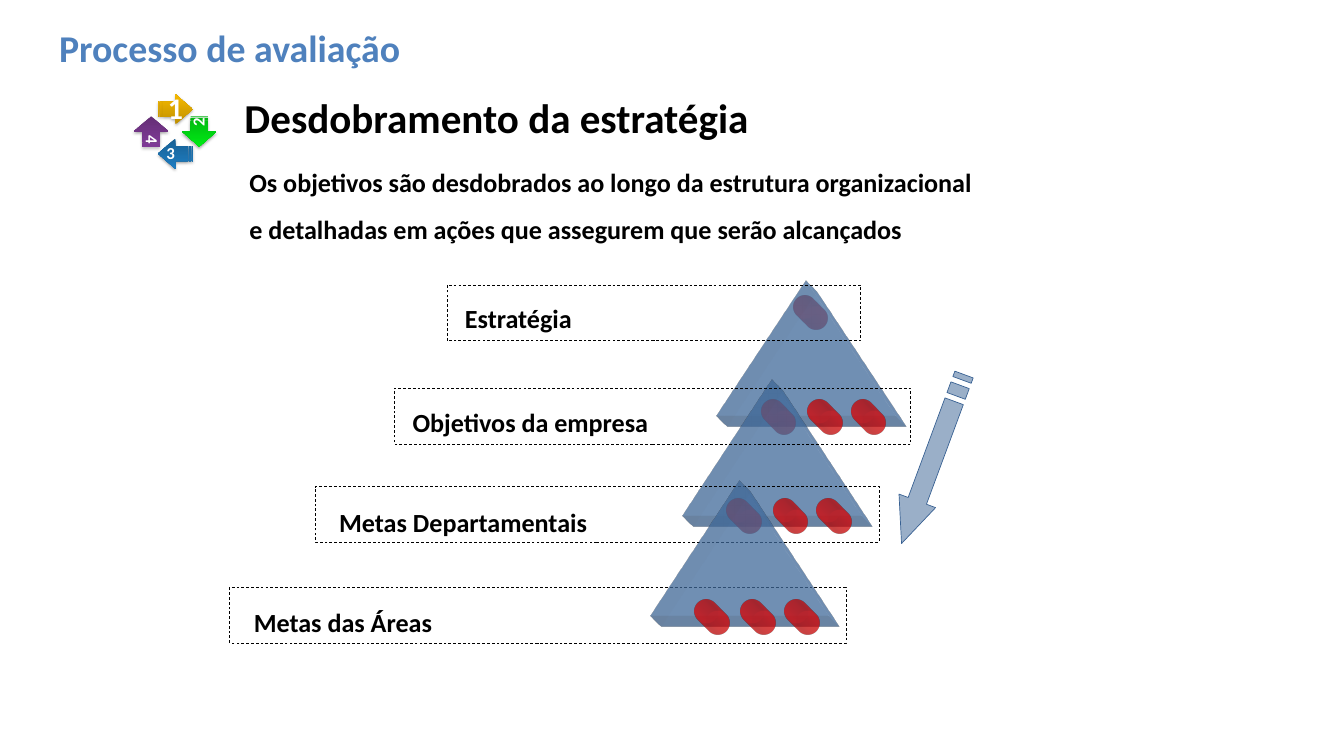
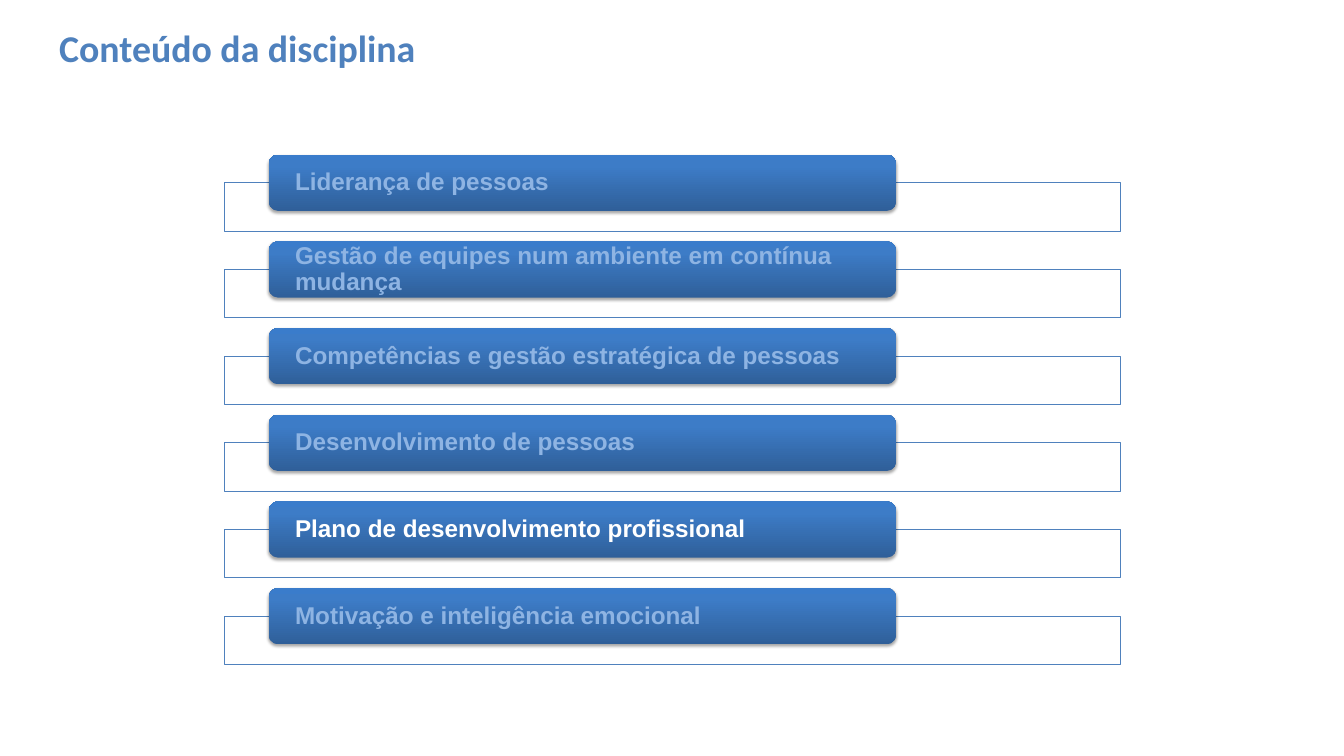
from dataclasses import dataclass
from math import cos, radians, sin
from typing import Optional

from lxml import etree
from pptx import Presentation
from pptx.dml.color import RGBColor
from pptx.enum import dml, shapes, text
from pptx.oxml.ns import qn
from pptx.util import Pt


@dataclass(frozen=True)
class Theme:
    accent: str = "4F81BD"
    dark_accent: str = "376092"
    muted: str = "8EB4E3"
    white: str = "FFFFFF"
    black: str = "000000"
    red: str = "FF0000"
    bar_stops: tuple = ((0, "2F5F99"), (80, "3D7CC7"), (100, "3A7CCB"))
    heading_font: str = "Calibri"
    list_font: str = "Arial"
    title_size: float = 40.5
    subtitle_size: float = 44
    body_size: float = 28
    list_size: float = 26


@dataclass(frozen=True)
class Box:
    left: float
    top: float
    width: float
    height: float

    def emu(self) -> tuple:
        return Pt(self.left), Pt(self.top), Pt(self.width), Pt(self.height)


@dataclass(frozen=True)
class Level:
    label: str
    frame: Box
    label_top: float
    inset: float = 10.8


@dataclass(frozen=True)
class Peak:
    left: float
    top: float


@dataclass(frozen=True)
class CycleStep:
    number: str
    x: float
    y: float
    angle: int
    size: float
    stops: tuple
    gradient_angle: int = 270
    vert: Optional[str] = None
    insets: tuple = (0, 0, 0, 0)


THEME = Theme()
MIDDLE = text.MSO_ANCHOR.MIDDLE
DOT_SIZE = 25.2
PEAK_WIDTH, PEAK_HEIGHT = 191.5, 144.7
DOT_OFFSETS = (47.6, 97.2, 144.2)
DOT_DROP = 127.4

LEVELS = (
    Level("Estratégia", Box(478.8, 305.3, 443.5, 59.8), 291.6),
    Level("Objetivos da empresa", Box(422.6, 416.2, 553, 59.8), 402.5),
    Level("Metas Departamentais", Box(337.7, 521.3, 604.1, 59.8), 509.8, 17.1),
    Level("Metas das Áreas", Box(246.2, 629.3, 660.2, 59.8), 617, 17.1),
)
PEAKS = (Peak(779.8, 312.5), Peak(743, 419), Peak(708.5, 527))
CYCLE = (
    CycleStep("1", 187.9, 117.1, 0, 32, ((0, "BE8F00"), (100, "F7BA00")), 90),
    CycleStep("2", 213.5, 140.8, 90, 18, ((0, "00B50F"), (100, "00EB15")),
              vert="vert270", insets=(0, 0, 0, 19)),
    CycleStep("3", 187.9, 164.6, 180, 18, ((0, "186094"), (100, "1E7DC1")),
              insets=(0, 0, 10, 0)),
    CycleStep("4", 162, 140.8, 270, 18, ((0, "642E75"), (100, "813B99")),
              vert="vert", insets=(0, 18, 0, 0)),
)
TOPICS = (
    "Liderança de pessoas",
    "Gestão de equipes num ambiente em contínua mudança",
    "Competências e gestão estratégica de pessoas",
    "Desenvolvimento de pessoas",
    "Plano de desenvolvimento profissional",
    "Motivação e inteligência emocional",
)
CURRENT_TOPIC = 4
TOPIC_PITCH = 92.88


def rgb(color: str) -> RGBColor:
    return RGBColor.from_string(color)


def add_xml(parent, tag: str, **attributes):
    return etree.SubElement(parent, qn(tag), attributes)


def write(s, content: str, *, size: float, color: str = THEME.black,
          font: str = THEME.heading_font, spacing: float = 1.0,
          insets: tuple = (7.2, 3.6, 7.2, 3.6), anchor=MIDDLE,
          align=text.PP_ALIGN.LEFT, wrap: bool = True) -> None:
    tf = s.text_frame
    tf.word_wrap = wrap
    tf.vertical_anchor = anchor
    (tf.margin_left, tf.margin_top,
     tf.margin_right, tf.margin_bottom) = map(Pt, insets)
    p = tf.paragraphs[0]
    p.text = content
    p.alignment = align
    p.line_spacing = spacing
    for r in p.runs:
        r.font.name, r.font.size, r.font.bold = font, Pt(size), True
        r.font.color.rgb = rgb(color)


def add_text(slide, box: Box, content: str, **fmt) -> None:
    write(slide.shapes.add_textbox(*box.emu()), content, **fmt)


def paint(s, fill: Optional[str] = None, opacity: Optional[int] = None,
          line: Optional[str] = None) -> None:
    s.shadow.inherit = False
    if fill:
        s.fill.solid()
        s.fill.fore_color.rgb = rgb(fill)
        if opacity is not None:
            color = s.element.spPr.find(".//" + qn("a:srgbClr"))
            add_xml(color, "a:alpha", val=str(opacity * 1000))
    else:
        s.fill.background()
    if line:
        s.line.color.rgb = rgb(line)
        s.line.width = Pt(0.75)
    else:
        s.line.fill.background()


def paint_raised(s, stops: tuple, angle: int) -> None:
    """Gradient fill, no line and a soft shadow below."""
    paint(s)
    s.fill.gradient()
    s.fill.gradient_angle = angle
    stop_list = s.element.spPr.find(".//" + qn("a:gsLst"))
    for stop in list(stop_list):
        stop_list.remove(stop)
    for position, color in stops:
        stop = add_xml(stop_list, "a:gs", pos=str(position * 1000))
        add_xml(stop, "a:srgbClr", val=color)
    shadow = add_xml(s.element.spPr.find(qn("a:effectLst")), "a:outerShdw",
                     blurRad=str(Pt(3.1)), dist=str(Pt(1.8)), dir="5400000",
                     rotWithShape="0")
    add_xml(add_xml(shadow, "a:srgbClr", val=THEME.black), "a:alpha", val="35000")


def extrude(s, color: str) -> None:
    """Give the shape depth towards the top left."""
    spPr = s.element.spPr
    scene = add_xml(spPr, "a:scene3d")
    add_xml(scene, "a:camera", prst="legacyObliqueTopLeft")
    add_xml(scene, "a:lightRig", rig="legacyFlat3", dir="b")
    solid = add_xml(spPr, "a:sp3d", extrusionH=str(Pt(33.87)),
                    prstMaterial="legacyMatte")
    for bevel in ("a:bevelT", "a:bevelB"):
        add_xml(solid, bevel, w="13500", h="13500", prst="angle")
    add_xml(add_xml(solid, "a:extrusionClr"), "a:srgbClr", val=color)


def add_solid(slide, kind, box: Box, color: str) -> None:
    s = slide.shapes.add_shape(kind, *box.emu())
    paint(s, color, 50)
    extrude(s, color)


def add_dot(slide, left: float, top: float) -> None:
    add_solid(slide, shapes.MSO_SHAPE.OVAL,
              Box(left, top, DOT_SIZE, DOT_SIZE), THEME.red)


def add_peak(slide, peak: Peak, dots: bool = True) -> None:
    add_solid(slide, shapes.MSO_SHAPE.ISOSCELES_TRIANGLE,
              Box(peak.left, peak.top, PEAK_WIDTH, PEAK_HEIGHT), THEME.accent)
    for offset in DOT_OFFSETS:
        add_dot(slide, peak.left + offset, peak.top + DOT_DROP)


def add_level(slide, level: Level) -> None:
    s = slide.shapes.add_shape(shapes.MSO_SHAPE.RECTANGLE, *level.frame.emu())
    paint(s, line=THEME.black)
    s.line.dash_style = dml.MSO_LINE.DASH
    add_text(slide, Box(level.frame.left + 8.6, level.label_top, 400, 71.3),
             level.label, size=THEME.body_size, spacing=1.8,
             insets=(level.inset, 5.8, 10.8, 5.8), anchor=text.MSO_ANCHOR.TOP)


def add_striped_arrow(slide, x: float, y: float, length: float, breadth: float,
                      head: float, stripe: float, angle: float = 0):
    """Arrow centred on (x, y) whose tail is cut into two stripes."""
    tail, tip, half = -length / 2, length / 2, breadth / 4
    neck = tip - head

    def stripe_outline(start: float, end: float) -> list:
        return [(tail + start, -half), (tail + end, -half),
                (tail + end, half), (tail + start, half)]

    body = tail + 5 * stripe
    outlines = [
        stripe_outline(0, stripe),
        stripe_outline(2 * stripe, 4 * stripe),
        [(body, -half), (neck, -half), (neck, -2 * half), (tip, 0),
         (neck, 2 * half), (neck, half), (body, half)],
    ]
    c, d = cos(radians(angle)), sin(radians(angle))
    builder = None
    for outline in outlines:
        points = [(Pt(x + c * u - d * v), Pt(y + d * u + c * v)) for u, v in outline]
        if builder is None:
            builder = slide.shapes.build_freeform(*points[0])
        else:
            builder.move_to(*points[0])
        builder.add_line_segments(points[1:], close=True)
    return builder.convert_to_shape()


def add_cycle_step(slide, step: CycleStep) -> None:
    length, breadth = (37.4, 32.4) if step.angle % 180 == 0 else (32.4, 37.4)
    s = add_striped_arrow(slide, step.x, step.y, length, breadth,
                          length / 2, 1, step.angle)
    paint_raised(s, step.stops, step.gradient_angle)
    write(s, step.number, size=step.size, color=THEME.white, spacing=0.9,
          insets=step.insets, align=text.PP_ALIGN.CENTER, wrap=False)
    if step.vert:
        s.element.find(".//" + qn("a:bodyPr")).set("vert", step.vert)


def add_titled_slide(prs, title: str):
    slide = prs.slides.add_slide(prs.slide_layouts[6])
    add_text(slide, Box(56.2, 25.2, 982.8, 51.1), title,
             size=THEME.title_size, color=THEME.accent)
    return slide


def build_strategy(prs) -> None:
    slide = add_titled_slide(prs, "Processo de avaliação")
    add_text(slide, Box(254.9, 101.5, 1005, 54.7), "Desdobramento da estratégia",
             size=THEME.subtitle_size, spacing=0.9)
    add_text(slide, Box(246.2, 157.7, 977.8, 108),
             "Os objetivos são desdobrados ao longo da estrutura organizacional\n"
             "e detalhadas em ações que assegurem que serão alcançados",
             size=THEME.body_size, spacing=1.5, insets=(20.9, 3.6, 7.2, 3.6))
    for step in CYCLE:
        add_cycle_step(slide, step)

    add_dot(slide, 861.8, 328.3)
    for peak in PEAKS[:2]:
        add_peak(slide, peak)
    for level in LEVELS[1:]:
        add_level(slide, level)
    arrow = add_striped_arrow(slide, 999.4, 491.8, 193, 41.8, 48.7, 6.1)
    arrow.rotation = 110.3
    paint(arrow, THEME.dark_accent, 50, THEME.dark_accent)
    add_peak(slide, PEAKS[2])
    add_level(slide, LEVELS[0])


def add_topic(slide, top: float, topic: str, color: str) -> None:
    frame = slide.shapes.add_shape(shapes.MSO_SHAPE.RECTANGLE,
                                   *Box(240, top + 30.2, 960, 51.8).emu())
    paint(frame, THEME.white, 90, THEME.accent)
    bar = slide.shapes.add_shape(shapes.MSO_SHAPE.ROUNDED_RECTANGLE,
                                 *Box(288, top, 672, 60.5).emu())
    paint_raised(bar, THEME.bar_stops, 90)
    add_text(slide, Box(290.9, top + 3, 666, 54.7), topic, size=THEME.list_size,
             color=color, font=THEME.list_font, spacing=0.9,
             insets=(25.2, 0, 25.2, 0))


def build_contents(prs) -> None:
    slide = add_titled_slide(prs, "Conteúdo da disciplina")
    for i, topic in enumerate(TOPICS):
        color = THEME.white if i == CURRENT_TOPIC else THEME.muted
        add_topic(slide, 165.6 + i * TOPIC_PITCH, topic, color)


def main() -> None:
    prs = Presentation()
    prs.slide_width, prs.slide_height = Pt(1440), Pt(810)
    build_strategy(prs)
    build_contents(prs)
    prs.save("out.pptx")


if __name__ == "__main__":
    main()
